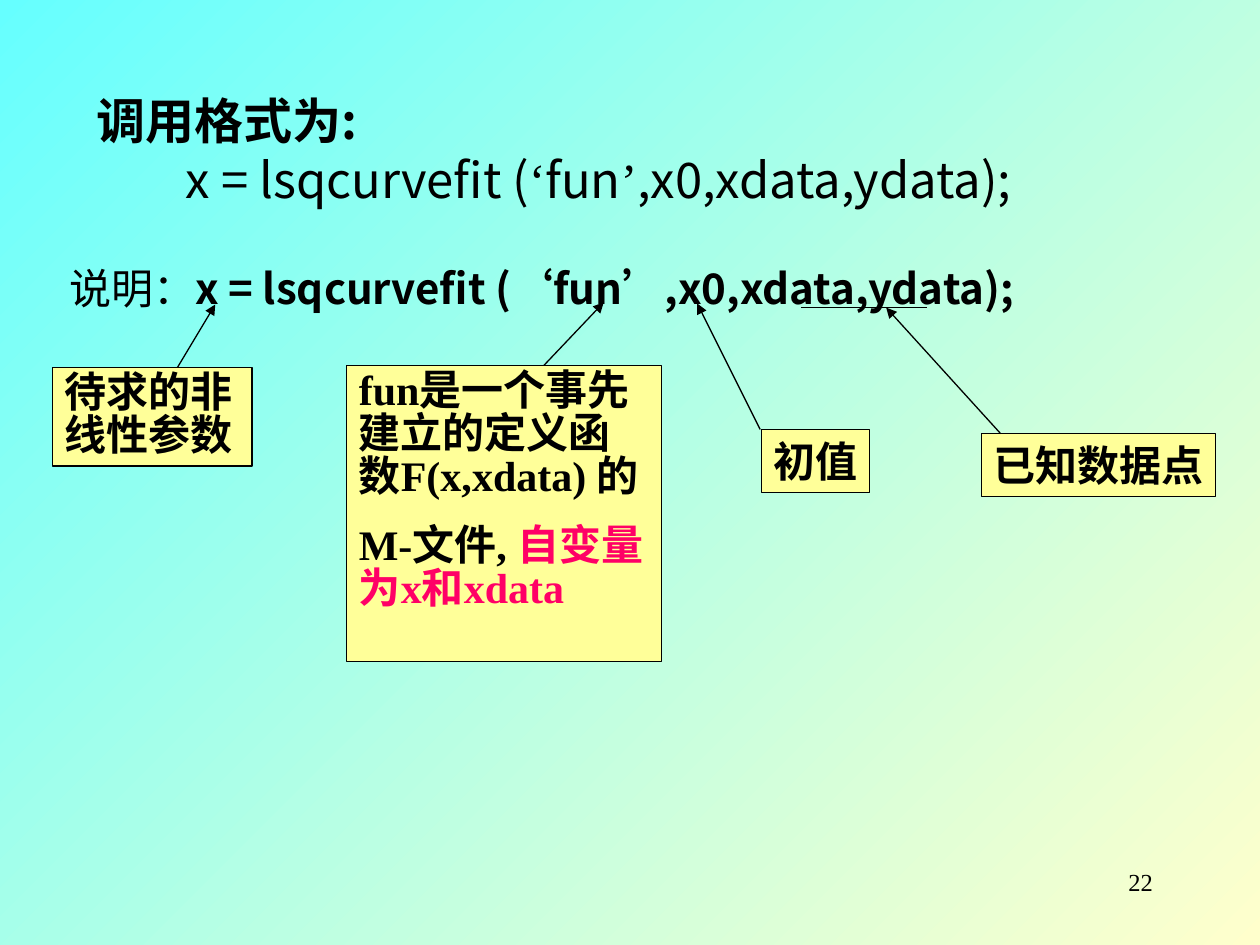
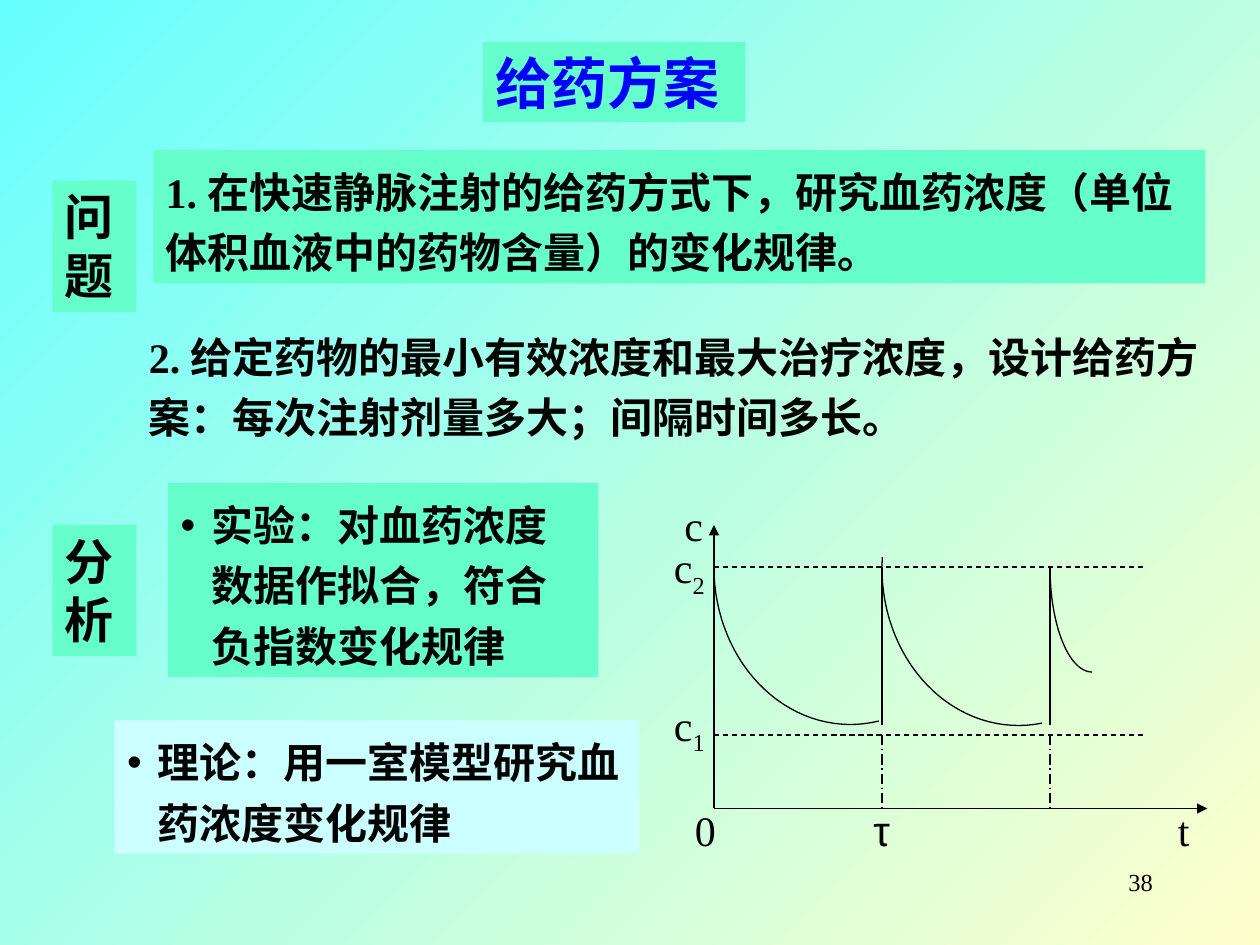
from dataclasses import dataclass
from math import cos, radians, sin

from lxml import etree
from pptx import Presentation
from pptx import util as u
from pptx.dml.color import RGBColor
from pptx.enum import dml, shapes, text
from pptx.oxml import ns

PX = 7620  # EMU in one px: 120 px to the inch
LEFT, CENTER, RIGHT = text.PP_ALIGN.LEFT, text.PP_ALIGN.CENTER, text.PP_ALIGN.RIGHT


@dataclass(frozen=True)
class Theme:
    sky: str = "66FFFF"
    cream: str = "FFFFCC"
    mint: str = "66FFCC"
    ice: str = "CCFFFF"
    note: str = "FFFF99"
    ink: str = "000000"
    title: str = "0000FF"
    accent: str = "FF0066"
    serif: str = "Times New Roman"
    sans: str = "Noto Sans CJK SC"
    greek: str = "Arial"
    title_size: int = 32
    heading_size: int = 28
    body_size: int = 24
    number_size: int = 14
    line_width: float = 0.75


T = Theme()


def px(*lengths):
    return [u.Emu(round(length * PX)) for length in lengths]


def rgb(color):
    return RGBColor.from_string(color)


def place(shape, box):
    shape.left, shape.top, shape.width, shape.height = px(*box)
    return shape


def add_bullet(paragraph, hang):
    """Hang the paragraph on a bullet, indented by hang px."""
    props = paragraph._p.get_or_add_pPr()
    props.set("marL", str(hang * PX))
    props.set("indent", str(-hang * PX))
    etree.SubElement(etree.SubElement(props, ns.qn("a:buClr")),
                     ns.qn("a:srgbClr")).set("val", T.ink)
    etree.SubElement(props, ns.qn("a:buFont")).set("typeface", T.greek)
    etree.SubElement(props, ns.qn("a:buChar")).set("char", "•")


def add_run(paragraph, words, size, font, color, bold, baseline=0):
    run = paragraph.add_run()
    run.text = words
    run.font.size, run.font.name, run.font.bold = u.Pt(size), font, bold
    run.font.color.rgb = rgb(color)
    props = run._r.get_or_add_rPr()
    etree.SubElement(props, ns.qn("a:ea")).set("typeface", T.sans)
    if baseline:
        props.set("baseline", str(baseline * 1000))


def write(shape, *paragraphs, align=LEFT, spacing=1.0, before=0, wrap=True,
          hang=0, size=T.body_size, font=T.serif, color=T.ink, bold=False):
    """Each paragraph is a string or a list of (words, changed format) runs."""
    frame = shape.text_frame
    frame.auto_size = text.MSO_AUTO_SIZE.NONE
    frame.word_wrap = wrap
    frame.vertical_anchor = text.MSO_ANCHOR.TOP
    aligns = align if isinstance(align, list) else [align] * len(paragraphs)
    base = dict(size=size, font=font, color=color, bold=bold)
    for index, runs in enumerate(paragraphs):
        paragraph = frame.add_paragraph() if index else frame.paragraphs[0]
        paragraph.alignment, paragraph.line_spacing = aligns[index], spacing
        paragraph.space_before = u.Pt(before if index else 0)
        if hang:
            add_bullet(paragraph, hang)
        for words, changes in [(runs, {})] if isinstance(runs, str) else runs:
            add_run(paragraph, words, **{**base, **changes})
    return shape


def add_text(slide, box, *paragraphs, **fmt):
    return write(slide.shapes.add_textbox(*px(*box)), *paragraphs, **fmt)


def fill(shape, color):
    shape.fill.solid()
    shape.fill.fore_color.rgb = rgb(color)


def add_panel(slide, box, color, *paragraphs, outline=False, **fmt):
    panel = slide.shapes.add_shape(shapes.MSO_SHAPE.RECTANGLE, *px(*box))
    panel.shadow.inherit = False
    fill(panel, color)
    if outline:
        ink_line(panel)
    else:
        panel.line.fill.background()
    return write(panel, *paragraphs, **fmt)


def ink_line(shape):
    shape.line.color.rgb = rgb(T.ink)
    shape.line.width = u.Pt(T.line_width)


def add_line(slide, start, end, arrow=False, dash=None):
    line = slide.shapes.add_connector(shapes.MSO_CONNECTOR.STRAIGHT, *px(*start, *end))
    ink_line(line)
    if dash:
        line.line.dash_style = dash
    if arrow:
        etree.SubElement(line.line._get_or_add_ln(), ns.qn("a:tailEnd")).set("type", "triangle")
    etree.SubElement(line._element.spPr, ns.qn("a:effectLst"))


def add_decay(slide, left, middle, radii, start, end, steps=32):
    """Draw the part of an ellipse that falls from its left side, in degrees."""
    rx, ry = radii
    angles = [radians(start + (end - start) * i / steps) for i in range(steps + 1)]
    points = [px(left + rx + rx * cos(a), middle + ry * sin(a)) for a in angles]
    builder = slide.shapes.build_freeform(*points[0])
    builder.add_line_segments(points[1:], close=False)
    curve = builder.convert_to_shape()
    curve.shadow.inherit = False
    curve.fill.background()
    ink_line(curve)


def new_slide(prs, layout, number):
    slide = prs.slides.add_slide(prs.slide_layouts[layout])
    add_text(slide, (860, 820, 250, 60), number, align=RIGHT, size=T.number_size)
    return slide


def call_runs(tail):
    quote = {"font": T.serif}
    return [("x = lsqcurvefit (", {}), ("‘", quote), ("fun", {}), ("’", quote),
            (",x0,xdata,ydata);" + tail, {})]


def add_callout(slide, box, tip, start, *paragraphs, **fmt):
    """Note box with an arrow from start px along its top edge up to tip."""
    add_panel(slide, box, T.note, *paragraphs, outline=True, bold=True, **fmt)
    left, top = box[:2]
    add_line(slide, (left + start, top), (left + tip[0], top + tip[1]), arrow=True)


def call_format_slide(prs):
    slide = new_slide(prs, 5, "22")
    heading = place(slide.shapes.title, (80, 80, 980, 180))
    write(heading, [("调用格式为:", {"bold": True})], call_runs(""),
          align=[LEFT, CENTER], size=T.heading_size, font=T.sans)
    bold_call = [(words, {**changes, "bold": True}) for words, changes in call_runs("")]
    add_text(slide, (-49, 244, 1130, 60), [("说明：", {})] + bold_call,
             align=CENTER, wrap=False, font=T.sans)

    add_callout(slide, (330, 348, 300, 282), (245, -60), 188,
                "fun是一个事先建立的定义函数F(x,xdata) 的",
                [("M-文件, ", {}), ("自变量为x和xdata", {"color": T.accent})],
                spacing=0.85, before=15)
    add_callout(slide, (725, 409, 103, 60), (-61, -120), -1, "初值",
                align=CENTER, wrap=False)
    add_callout(slide, (935, 413, 223, 60), (-91, -120), 18, "已知数据点",
                align=CENTER, wrap=False)
    add_line(slide, (763, 293), (883, 293))
    add_callout(slide, (50, 350, 190, 94), (155, -60), 119, "待求的非线性参数",
                spacing=0.85)


def add_dosing_plot(slide, box):
    """Concentration against time, with a new dose at each interval."""
    left, top, width, height = box
    base, interval = top + height, 160
    high, low = top + 40, top + 200
    doses = [left + interval, left + 2 * interval]

    add_line(slide, (left, base), (left + width, base), arrow=True)
    add_line(slide, (left, base), (left, top), arrow=True)
    for level in (high, low):
        add_line(slide, (left, level), (left + 410, level), dash=dml.MSO_LINE.DASH)
    for dose in doses:
        add_line(slide, (dose, low - 10), (dose, high))
        add_line(slide, (dose, low), (dose, base), dash=dml.MSO_LINE.LONG_DASH_DOT)

    add_decay(slide, left, high, (130, 150), 180, 78)
    add_decay(slide, doses[0], high + 1, (130, 150), 184, 80)
    add_decay(slide, doses[1], high, (40, 100), 180, 90)

    labels = [("c", "", -40, -30, T.serif), ("c", "2", -50, 10, T.serif),
              ("c", "1", -50, 160, T.serif), ("0", "", -30, 260, T.serif),
              ("τ", "", 140, 260, T.greek), ("t", "", 430, 260, T.serif)]
    for symbol, index, dx, dy, font in labels:
        runs = [(symbol, {})] + ([(index, {"baseline": -25})] if index else [])
        add_text(slide, (left + dx, top + dy, 70, 60), runs, font=font)


def dosing_plan_slide(prs):
    slide = new_slide(prs, 3, "38")
    title, experiment, theory = slide.placeholders
    fill(place(title, (460, 40, 250, 76)), T.mint)
    write(title, "给药方案", size=T.title_size, color=T.title, bold=True)

    for top, label in ((172, "问题"), (500, "分析")):
        add_panel(slide, (50, top, 80, 125), T.mint, label, size=T.heading_size, bold=True)

    add_panel(slide, (146, 143, 1002, 127), T.mint,
              "1. 在快速静脉注射的给药方式下，研究血药浓度（单位体积血液中的药物含量）的变化规律。",
              spacing=1.2, bold=True)
    add_text(slide, (130, 300, 1040, 127),
             "2. 给定药物的最小有效浓度和最大治疗浓度，设计给药方案：每次注射剂量多大；间隔时间多长。",
             spacing=1.2, bold=True)

    findings = [
        (experiment, (160, 460, 410, 185), T.mint, "实验：对血药浓度数据作拟合，符合负指数变化规律"),
        (theory, (109, 686, 500, 127), T.ice, "理论：用一室模型研究血药浓度变化规律")]
    for body, box, color, words in findings:
        fill(place(body, box), color)
        write(body, words, spacing=1.2, hang=29, bold=True)

    add_dosing_plot(slide, (680, 500, 470, 270))


def main():
    prs = Presentation()
    prs.slide_width, prs.slide_height = px(1200, 900)
    backdrop = prs.slide_master.background.fill
    backdrop.gradient()
    backdrop.gradient_angle = 315
    for stop, color in zip(backdrop.gradient_stops, (T.sky, T.cream)):
        stop.color.rgb = rgb(color)
    call_format_slide(prs)
    dosing_plan_slide(prs)
    prs.save("out.pptx")


if __name__ == "__main__":
    main()
